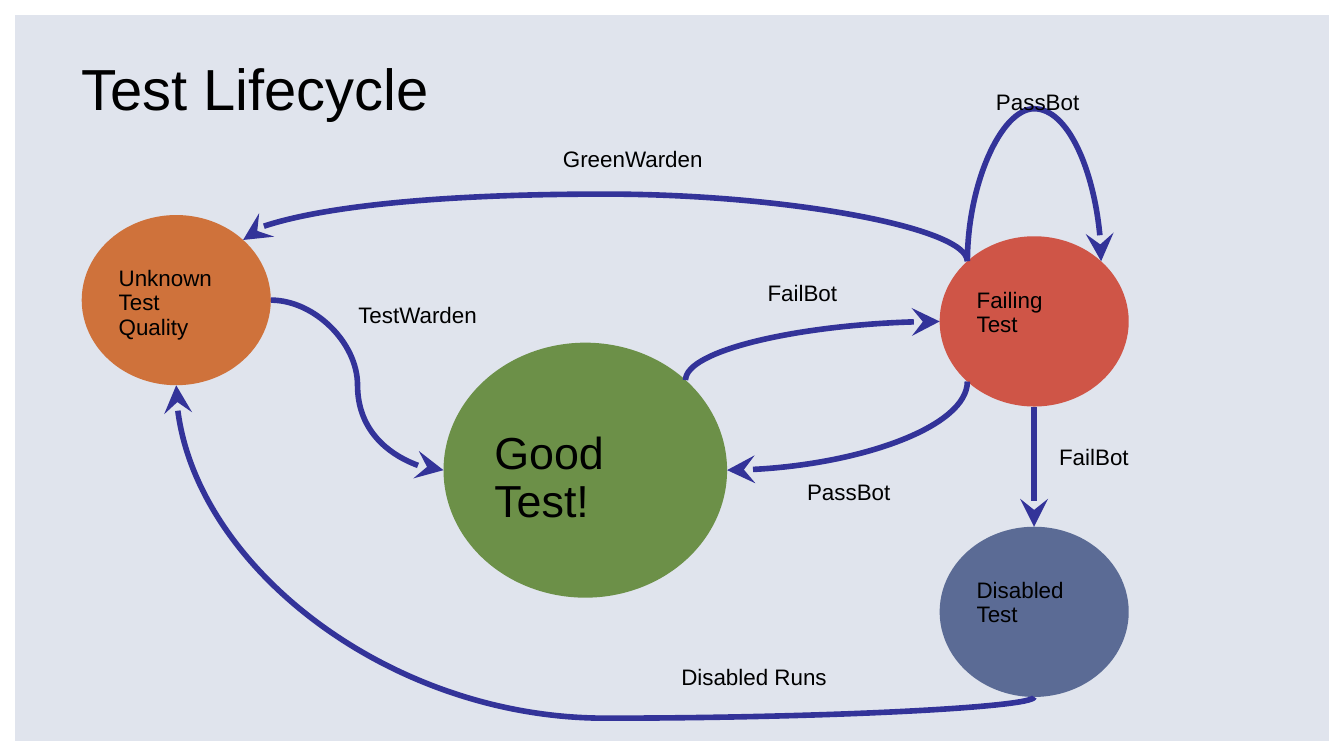
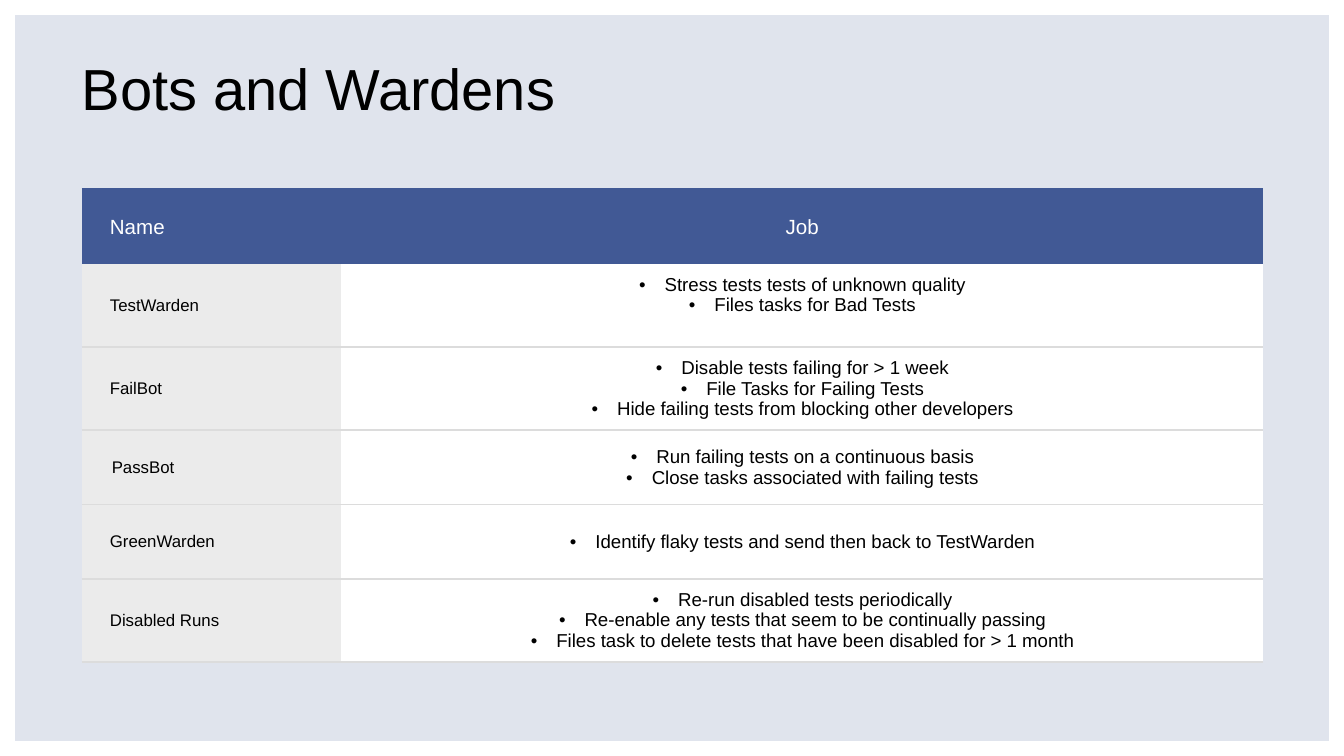
"""Build two slides: a test lifecycle diagram and a table of bots and wardens."""
from math import cos, radians, sin

from lxml.etree import SubElement
from pptx import Presentation
from pptx.dml.color import RGBColor
from pptx.enum.shapes import MSO_CONNECTOR, MSO_SHAPE
from pptx.enum.text import MSO_ANCHOR, PP_ALIGN
from pptx.oxml import parse_xml
from pptx.oxml.ns import nsdecls, qn
from pptx.util import Pt

WIDTH, HEIGHT = 720, 405
FONT = "Arial"
LEFT = 43.8
INSETS = (5, 2.3, 5, 2.3)
PLAIN_TABLE = "{2D5ABB26-0587-4C30-8999-92F81FD0307C}"
COLORS = {
    "back": "E0E4ED", "white": "FFFFFF", "text": "000000", "arrow": "333399",
    "orange": "CF723B", "green": "6C9048", "red": "CF5547", "slate": "5B6B95",
    "header": "415995", "name": "EBEBEB", "rule": "DCDCDC",
}
TOP, TOP_LEFT, LEFT_SIDE, BOTTOM_LEFT, BOTTOM, _, RIGHT_SIDE, TOP_RIGHT = range(8)

STATES = {
    "unknown": (LEFT, 115.2, 101.3, 91.2, "orange", 12, "Unknown Test Quality"),
    "good": (237.6, 183.6, 151.9, 136.6, "green", 24, "Good Test!"),
    "failing": (503.4, 126.6, 101.3, 91.2, "red", 12, "Failing\nTest"),
    "disabled": (503.4, 282.2, 101.3, 91.2, "slate", 12, "Disabled Test"),
}
TRANSITIONS = [
    ("good", TOP_RIGHT, "failing", LEFT_SIDE, None),
    ("unknown", RIGHT_SIDE, "good", LEFT_SIDE, 46.4),
    ("failing", TOP_LEFT, "failing", TOP_RIGHT, -72),
    ("failing", BOTTOM, "disabled", TOP, 32.4),
    ("failing", TOP_LEFT, "unknown", TOP_RIGHT, 36),
    ("failing", BOTTOM_LEFT, "good", RIGHT_SIDE, None),
    ("disabled", BOTTOM, "unknown", BOTTOM, -11.3),
]
LABELS = [
    ("TestWarden", 187, 160.6, 114), ("GreenWarden", 296.6, 77.2, 89),
    ("FailBot", 406.2, 149, 51), ("PassBot", 427.4, 255.6, 66),
    ("FailBot", 562.4, 236.6, 51), ("PassBot", 528.6, 46.8, 66),
    ("Disabled Runs", 360, 354.4, 92),
]
JOBS = [
    ("TestWarden", ["Stress tests tests of unknown quality", "Files tasks for Bad Tests"]),
    ("FailBot", ["Disable tests failing for > 1 week", "File Tasks for Failing Tests",
                 "Hide failing tests from blocking other developers"]),
    ("PassBot", ["Run failing tests on a continuous basis",
                 "Close tasks associated with failing tests"]),
    ("GreenWarden", ["Identify flaky tests and send then back to TestWarden"]),
    ("Disabled Runs", ["Re-run disabled tests periodically",
                       "Re-enable any tests that seem to be continually passing",
                       "Files task to delete tests that have been disabled for > 1 month"]),
]


def color(name):
    """Return a named colour."""
    return RGBColor.from_string(COLORS[name])


def set_insets(target, insets):
    """Set the left, top, right and bottom margins of a text frame or cell."""
    for side, inset in zip(("left", "top", "right", "bottom"), insets):
        setattr(target, "margin_" + side, Pt(inset))


def write(frame, text, size, tint="text", align=PP_ALIGN.LEFT, spacing=None):
    """Fill a text frame and format every run."""
    frame.text = text
    for para in frame.paragraphs:
        para.alignment = align
        if spacing:
            para.line_spacing = spacing
        for span in para.runs:
            span.font.name = FONT
            span.font.size = Pt(size)
            span.font.color.rgb = color(tint)


def add_text(page, text, left, top, width, height, size, insets=INSETS):
    """Add a wrapped text box."""
    box = page.shapes.add_textbox(Pt(left), Pt(top), Pt(width), Pt(height))
    box.text_frame.word_wrap = True
    set_insets(box.text_frame, insets)
    write(box.text_frame, text, size, spacing=0.9)


def add_page(deck, title):
    """Add a slide with the white-edged background and a title."""
    page = deck.slides.add_slide(deck.slide_layouts[6])
    page.background.fill.solid()
    page.background.fill.fore_color.rgb = color("back")
    edge = page.shapes.add_shape(MSO_SHAPE.RECTANGLE, 0, 0, Pt(WIDTH), Pt(HEIGHT))
    edge.shadow.inherit = False
    edge.fill.solid()
    edge.fill.fore_color.rgb = color("back")
    edge.line.color.rgb = color("white")
    edge.line.width = Pt(16)
    add_text(page, title, LEFT, 32.4, 632.4, 33, 31, (0, 0, 0, 0))
    return page


def add_state(page, left, top, width, height, tint, size, text):
    """Add a round state whose text starts one line below the top."""
    state = page.shapes.add_shape(
        MSO_SHAPE.FLOWCHART_CONNECTOR, Pt(left), Pt(top), Pt(width), Pt(height))
    state.shadow.inherit = False
    state.fill.solid()
    state.fill.fore_color.rgb = color(tint)
    state.line.fill.background()
    frame = state.text_frame
    frame.word_wrap = True
    frame.vertical_anchor = MSO_ANCHOR.TOP
    set_insets(frame, (5, 2.3 + 1.035 * size, 5, 2.3))
    write(frame, text, size, spacing=0.9)
    return state


def site_point(state, site):
    """Return the point of a connection site, counted from the top leftwards."""
    angle = radians(90 + 45 * site)
    x = state.left.pt + state.width.pt / 2 * (1 + cos(angle))
    y = state.top.pt + state.height.pt / 2 * (1 - sin(angle))
    return x, y


def add_transition(page, source, source_site, target, target_site, bend):
    """Join two states by a curved arrow; bend is the run before the turn."""
    x1, y1 = site_point(source, source_site)
    x2, y2 = site_point(target, target_site)
    arrow = page.shapes.add_connector(MSO_CONNECTOR.CURVE, Pt(x1), Pt(y1), Pt(x2), Pt(y2))
    arrow.line.color.rgb = color("arrow")
    arrow.line.width = Pt(3)
    run, rise = x2 - x1, y2 - y1
    if abs(rise) < 0.05:
        rise = 0.05
    length, props = abs(run), arrow.element.spPr
    if source_site != RIGHT_SIDE:
        length, breadth = abs(rise), abs(run)
        arrow.left, arrow.top = Pt((x1 + x2 - length) / 2), Pt((y1 + y2 - breadth) / 2)
        arrow.width, arrow.height = Pt(length), Pt(breadth)
        backward = run < -0.05
        frame = props.find(qn("a:xfrm"))
        for flip in ("flipH", "flipV"):
            frame.attrib.pop(flip, None)
        frame.set("rot", str((90 if backward else 270) * 60000))
        if backward == (rise < 0):
            frame.set("flipH", "1")
    shape = props.find(qn("a:prstGeom"))
    if bend is None:
        shape.set("prst", "curvedConnector2")
    else:
        guides = shape.find(qn("a:avLst"))
        if guides is None:
            guides = SubElement(shape, qn("a:avLst"))
        SubElement(guides, qn("a:gd"), name="adj1", fmla=f"val {round(bend / length * 100000)}")
    SubElement(props.find(qn("a:ln")), qn("a:tailEnd"), type="stealth", w="lg", len="lg")
    SubElement(props, qn("a:effectLst"))
    links = arrow.element.find(".//" + qn("p:cNvCxnSpPr"))
    for tag, state, site in (("a:stCxn", source, source_site), ("a:endCxn", target, target_site)):
        SubElement(links, qn(tag), id=str(state.shape_id), idx=str(site))


def style_cell(cell, fill, insets, borders):
    """Set the fill, margins and horizontal borders of a cell."""
    cell.fill.solid()
    cell.fill.fore_color.rgb = color(fill)
    cell.vertical_anchor = MSO_ANCHOR.MIDDLE
    set_insets(cell, insets)
    props = cell._tc.get_or_add_tcPr()
    for place, (tag, tint, width) in enumerate(borders):
        props.insert(place, parse_xml(
            f'<a:{tag} {nsdecls("a")} w="{Pt(width)}"><a:solidFill>'
            f'<a:srgbClr val="{COLORS[tint]}"/></a:solidFill></a:{tag}>'))


def add_bullets(frame):
    """Give every paragraph a hanging bullet."""
    for para in frame.paragraphs:
        props = para._p.get_or_add_pPr()
        props.set("marL", str(Pt(13.7)))
        props.set("indent", str(-Pt(13.7)))
        tint = SubElement(props, qn("a:buClr"))
        SubElement(tint, qn("a:srgbClr"), val=COLORS["text"])
        SubElement(props, qn("a:buFont"), typeface=FONT)
        SubElement(props, qn("a:buChar"), char="•")


def add_job_table(page):
    """Add the table of names and jobs."""
    widths, heights = (139, 494), (39.9, 44.5, 44.5, 39.9, 39.9, 44.5)
    holder = page.shapes.add_table(
        len(heights), len(widths), Pt(LEFT), Pt(101.6), Pt(sum(widths)), Pt(sum(heights)))
    table = holder.table
    table.first_row = table.horz_banding = False
    table._tbl.tblPr.find(qn("a:tableStyleId")).text = PLAIN_TABLE
    for column, width in zip(table.columns, widths):
        column.width = Pt(width)
    for row, height in zip(table.rows, heights):
        row.height = Pt(height)
    for index, text in enumerate(("Name", "Job")):
        cell = table.cell(0, index)
        insets = (1.4, 1.4, 1.4, 1.4) if index else (15.1, 0, 1.4, 0)
        style_cell(cell, "header", insets, [("lnT", "header", 2)])
        write(cell.text_frame, text, 11, "white", PP_ALIGN.CENTER if index else PP_ALIGN.LEFT)
    rule = [("lnB", "rule", 1)]
    for index, (name, jobs) in enumerate(JOBS, 1):
        name_cell, job_cell = table.cell(index, 0), table.cell(index, 1)
        style_cell(name_cell, "name", (16.1 if name == "PassBot" else 15.1, 0, 1.4, 0), rule)
        write(name_cell.text_frame, name, 9)
        style_cell(job_cell, "white", (1.4, 1.4, 1.4, 12.6 if index == 1 else 1.4), rule)
        write(job_cell.text_frame, "\n".join(jobs), 10, align=PP_ALIGN.CENTER)
        add_bullets(job_cell.text_frame)


def main():
    """Build and save the deck."""
    deck = Presentation()
    deck.slide_width, deck.slide_height = Pt(WIDTH), Pt(HEIGHT)
    page = add_page(deck, "Test Lifecycle")
    states = {name: add_state(page, *values) for name, values in STATES.items()}
    for source, source_site, target, target_site, bend in TRANSITIONS:
        add_transition(page, states[source], source_site, states[target], target_site, bend)
    for text, left, top, width in LABELS:
        add_text(page, text, left, top, width, 17.3, 12)
    add_job_table(add_page(deck, "Bots and Wardens"))
    deck.save("out.pptx")


main()
